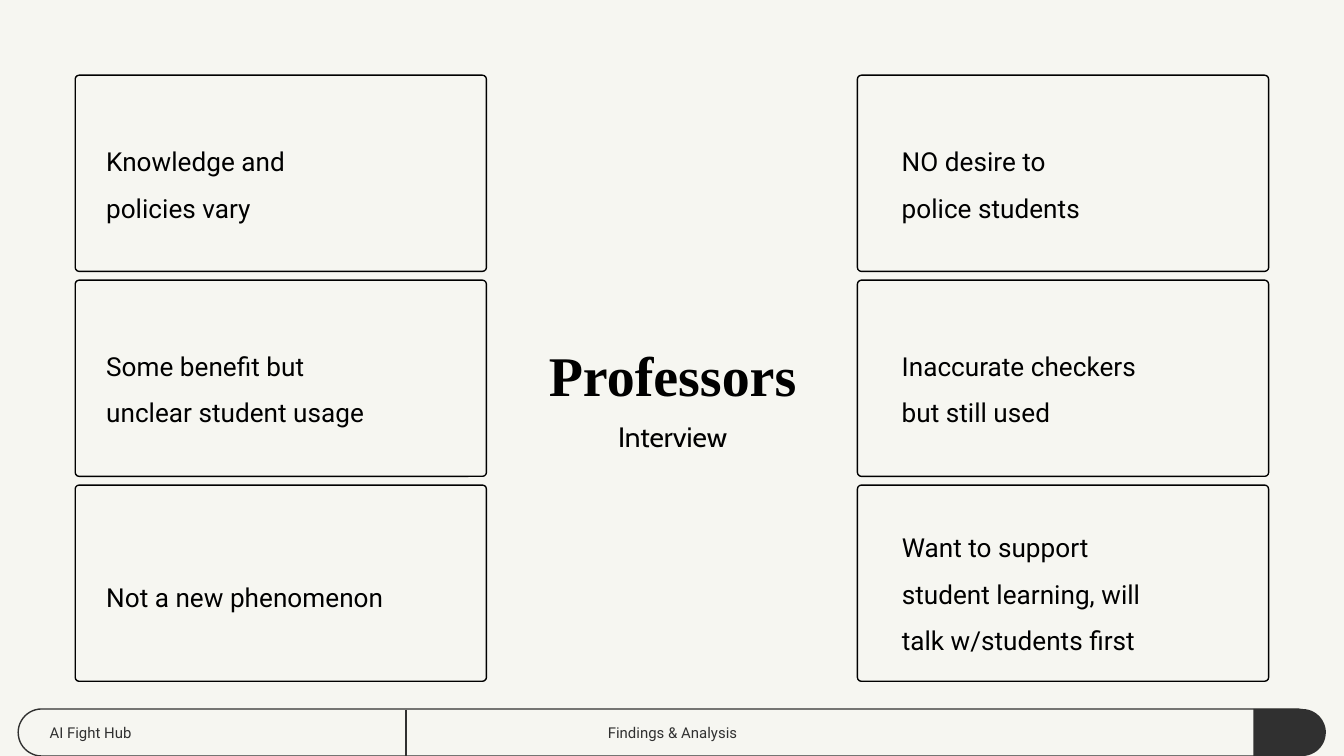
from dataclasses import dataclass

from lxml import etree
from pptx import Presentation
from pptx.dml.color import RGBColor
from pptx.enum.shapes import MSO_CONNECTOR, MSO_SHAPE
from pptx.enum.text import MSO_ANCHOR, MSO_AUTO_SIZE, PP_ALIGN
from pptx.oxml.ns import qn
from pptx.util import Inches, Pt


@dataclass(frozen=True)
class Theme:
    paper: RGBColor = RGBColor(0xF6, 0xF6, 0xF1)
    ink: RGBColor = RGBColor(0, 0, 0)
    footer: RGBColor = RGBColor(0x30, 0x30, 0x30)
    body_font: str = "Roboto"
    title_font: str = "Times New Roman"
    subtitle_font: str = "Cabin"
    footer_size: float = 8
    body_size: float = 14
    subtitle_size: float = 15
    title_size: float = 30
    line: float = 0.75


THEME = Theme()

CARD_W, CARD_H, CARD_TOP, CARD_PITCH = 3.06, 1.46, 0.56, 1.525
# Each column: card left, text left, then (text top, width, height, paragraphs) per card
COLUMNS = [
    (0.56, 0.79, [
        (0.97, 2.03, 0.59, ["Knowledge and policies vary"]),
        (2.49, 2.25, 0.59, ["Some benefit but", "unclear student usage"]),
        (4.21, 2.59, 0.24, ["Not a new phenomenon"]),
    ]),
    (6.38, 6.71, [
        (0.97, 2.14, 0.59, ["NO desire to", "police students"]),
        (2.49, 1.86, 0.59, ["Inaccurate checkers but still used"]),
        (3.84, 2.41, 0.94, ["Want to support", "student learning, will",
                            "talk w/students first"]),
    ]),
]


def set_all(target, values):
    for name, value in values.items():
        setattr(target, name, value)


def place(sp, box):
    names = ("left", "top", "width", "height")
    set_all(sp, dict(zip(names, map(Inches, box))))


def write(sp, paragraphs, font, size, color=THEME.ink, bold=False,
          align=PP_ALIGN.LEFT, spacing=1.0, margin=0, anchor=MSO_ANCHOR.TOP,
          auto_size=MSO_AUTO_SIZE.SHAPE_TO_FIT_TEXT):
    tf = sp.text_frame
    set_all(tf, {"word_wrap": True, "auto_size": auto_size,
                 "vertical_anchor": anchor})
    for side in ("left", "top", "right", "bottom"):
        setattr(tf, f"margin_{side}", Inches(margin))
    tf.text = "\n".join(paragraphs)
    for p in tf.paragraphs:
        set_all(p, {"alignment": align, "line_spacing": spacing,
                    "space_before": Pt(0)})
        for r in p.runs:
            set_all(r.font, {"name": font, "size": Pt(size), "bold": bold})
            r.font.color.rgb = color


def add_text(s, box, paragraphs, font, size, **style):
    sp = s.shapes.add_textbox(*map(Inches, box))
    write(sp, paragraphs, font, size, **style)


def add_outline(s, kind, box, adjustments, line=None, fill=None, rotation=0):
    sp = s.shapes.add_shape(kind, *map(Inches, box))
    sp.shadow.inherit = False
    sp.rotation = rotation
    for i, value in enumerate(adjustments):
        sp.adjustments[i] = value
    if fill is None:
        sp.fill.background()
    else:
        sp.fill.solid()
        sp.fill.fore_color.rgb = fill
    if line is None:
        sp.line.fill.background()
    else:
        sp.line.color.rgb = line
        sp.line.width = Pt(THEME.line)


def add_divider(s, x, top, bottom):
    line = s.shapes.add_connector(MSO_CONNECTOR.STRAIGHT,
                                  *map(Inches, (x, top, x, bottom)))
    line.line.color.rgb = THEME.footer
    line.line.width = Pt(THEME.line)
    etree.SubElement(line._element.spPr, qn("a:effectLst"))


def add_footer(s):
    """Pill-shaped bar with a filled right end, a divider and two labels."""
    bar = MSO_SHAPE.ROUND_2_SAME_RECTANGLE
    add_outline(s, bar, (4.8, 0.61, 0.35, 9.68), (0.5, 0.5),
                line=THEME.footer, rotation=90)
    add_divider(s, 3.02, 5.28, 5.63)
    add_outline(s, bar, (9.42, 5.18, 0.35, 0.54), (0.5, 0),
                fill=THEME.footer, rotation=90)
    for left, width, label, align in (
            (0.27, 2.41, "AI Fight Hub", PP_ALIGN.LEFT),
            (3.88, 2.25, "Findings & Analysis", PP_ALIGN.CENTER)):
        add_text(s, (left, 5.28, width, 0.34), [label], THEME.body_font,
                 THEME.footer_size, color=THEME.footer, align=align,
                 margin=0.1, anchor=MSO_ANCHOR.MIDDLE,
                 auto_size=MSO_AUTO_SIZE.NONE)


def add_cards(s):
    for card_left, text_left, cards in COLUMNS:
        for row, (top, width, height, paragraphs) in enumerate(cards):
            card_top = CARD_TOP + row * CARD_PITCH
            add_outline(s, MSO_SHAPE.ROUNDED_RECTANGLE,
                        (card_left, card_top, CARD_W, CARD_H), (0.02,),
                        line=THEME.ink)
            add_text(s, (text_left, top, width, height), paragraphs,
                     THEME.body_font, THEME.body_size, spacing=1.49)


def add_heading(s):
    place(s.shapes.title, (3.49, 2.56, 3.03, 0.49))
    write(s.shapes.title, ["Professors"], THEME.title_font, THEME.title_size,
          bold=True, align=PP_ALIGN.CENTER, spacing=0.97)
    add_text(s, (4.03, 3.1, 1.95, 0.25), ["Interview"], THEME.subtitle_font,
             THEME.subtitle_size, align=PP_ALIGN.CENTER, spacing=1.08)


def main():
    prs = Presentation()
    set_all(prs, {"slide_width": Inches(10), "slide_height": Inches(5.625)})
    s = prs.slides.add_slide(prs.slide_layouts[5])
    s.background.fill.solid()
    s.background.fill.fore_color.rgb = THEME.paper
    add_footer(s)
    add_cards(s)
    add_heading(s)
    prs.save("out.pptx")


if __name__ == "__main__":
    main()
